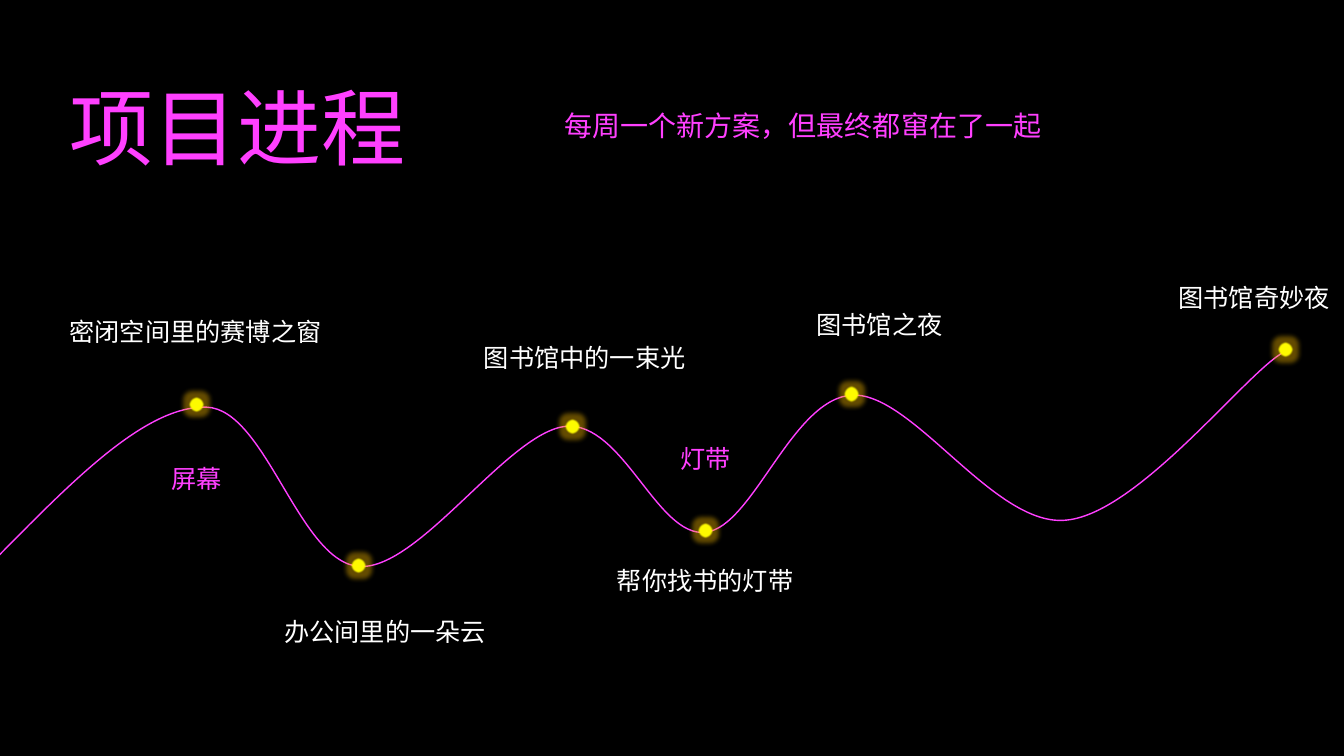
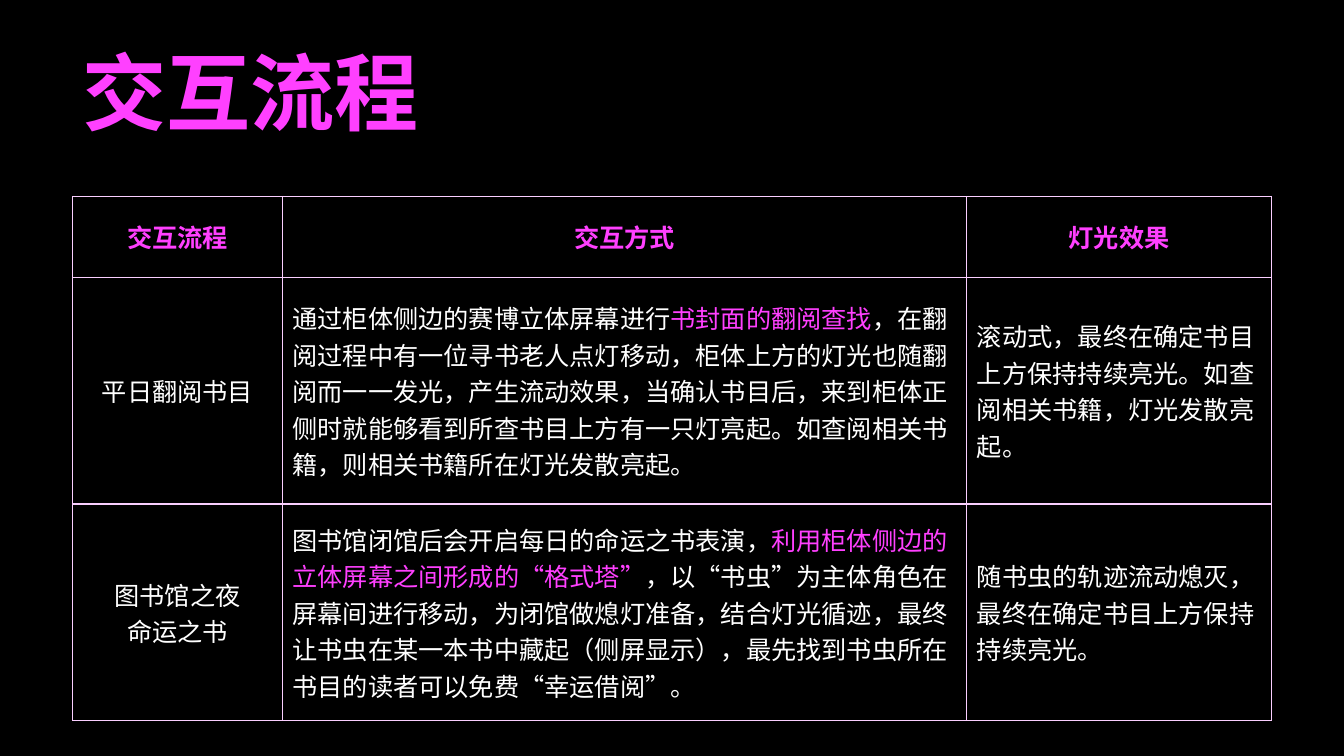
from itertools import product

from lxml.etree import SubElement
from pptx import Presentation
from pptx.dml.color import RGBColor
from pptx.enum.lang import MSO_LANGUAGE_ID as LANG
from pptx.enum.shapes import MSO_SHAPE as SHAPE
from pptx.enum.text import MSO_ANCHOR as ANCHOR, MSO_AUTO_SIZE as AUTOSIZE, PP_ALIGN as ALIGN
from pptx.oxml import parse_xml
from pptx.oxml.ns import nsdecls, qn
from pptx.util import Inches, Pt

COLORS = {
    "back": "000000",
    "accent": "FF40FF",
    "text": "FFFFFF",
    "dot": "FFFC00",
    "glow": "FFC000",
    "border": "FACFFF",
}
FONT = "Noto Sans CJK SC"
DOT = 0.16


def rgb(name):
    return RGBColor.from_string(COLORS[name])


class Deck:
    def __init__(self):
        self.prs = Presentation()
        self.prs.slide_width, self.prs.slide_height = Inches(13.33), Inches(7.5)
        fill = self.prs.slide_master.background.fill
        fill.solid()
        fill.fore_color.rgb = rgb("back")
        self.s = None

    def style(self, p, size, color, bold=False, align=ALIGN.LEFT):
        p.alignment = align
        p.font.size, p.font.bold, p.font.name = Pt(size), bold, FONT
        p.font.color.rgb = rgb(color)
        p.font.language_id = LANG.SIMPLIFIED_CHINESE
        SubElement(p._p.pPr.find(qn("a:defRPr")), qn("a:ea"), typeface=FONT)

    def frame(self, sp, text, size, color, bold=False, wrap=True):
        tf = sp.text_frame
        tf.text = text
        tf.word_wrap, tf.auto_size = wrap, AUTOSIZE.NONE
        tf.vertical_anchor = ANCHOR.MIDDLE
        self.style(tf.paragraphs[0], size, color, bold)

    def slide(self, title, left, top, width, bold=False):
        self.s = self.prs.slides.add_slide(self.prs.slide_layouts[5])
        sp = self.s.shapes.title
        sp.left, sp.top = Inches(left), Inches(top)
        sp.width, sp.height = Inches(width), Inches(1.11)
        self.frame(sp, title, 60, "accent", bold)

    def text(self, text, left, top, width, height, size, color="text", wrap=True):
        box = [Inches(v) for v in (left, top, width, height)]
        self.frame(self.s.shapes.add_textbox(*box), text, size, color, wrap=wrap)

    def label(self, text, left, top, color="text"):
        self.text(text, left, top, 0.25 * len(text) + 0.22, 0.4, 18, color, wrap=False)

    def curve(self, start, segments):
        builder = self.s.shapes.build_freeform(*map(Inches, start), scale=1.0)
        builder.add_line_segments(
            [tuple(map(Inches, segment[-1])) for segment in segments], close=False)
        sp = builder.convert_to_shape()
        sp.shadow.inherit = False
        sp.fill.background()
        sp.line.color.rgb, sp.line.width = rgb("accent"), Pt(1)
        for line, segment in zip(list(sp._element.iter(qn("a:lnTo"))), segments):
            points = "".join(
                f'<a:pt x="{Inches(x) - sp.left}" y="{Inches(y) - sp.top}"/>' for x, y in segment)
            line.getparent().replace(line, parse_xml(
                f'<a:cubicBezTo {nsdecls("a")}>{points}</a:cubicBezTo>'))

    def dot(self, left, top):
        sp = self.s.shapes.add_shape(
            SHAPE.OVAL, Inches(left), Inches(top), Inches(DOT), Inches(DOT))
        sp.shadow.inherit = False
        sp.fill.solid()
        sp.fill.fore_color.rgb = rgb("dot")
        sp.line.fill.background()
        effects = sp._element.spPr.find(qn("a:effectLst"))
        effects.append(parse_xml(
            f'<a:glow {nsdecls("a")} rad="{Pt(7)}"><a:srgbClr val="{COLORS["glow"]}">'
            '<a:alpha val="40000"/></a:srgbClr></a:glow>'))
        SubElement(effects, qn("a:softEdge"), rad=str(Pt(1)))

    def cell(self, cell, paragraphs, color, bold, align):
        cell.fill.background()
        cell.vertical_anchor = ANCHOR.MIDDLE
        tf = cell.text_frame
        for i, runs in enumerate(paragraphs):
            p = tf.add_paragraph() if i else tf.paragraphs[0]
            for j, text in enumerate(runs):
                r = p.add_run()
                r.text = text
                if j % 2:
                    r.font.color.rgb = rgb("accent")
            self.style(p, 18, color, bold, align)
        tcPr = cell._tc.get_or_add_tcPr()
        for i, side in enumerate("LRTB"):
            tcPr.insert(i, parse_xml(
                f'<a:ln{side} {nsdecls("a")} w="{Pt(1)}"><a:solidFill>'
                f'<a:srgbClr val="{COLORS["border"]}"/></a:solidFill></a:ln{side}>'))

    def table(self, left, top, widths, heights, rows):
        table = self.s.shapes.add_table(
            len(heights), len(widths), Inches(left), Inches(top),
            Inches(sum(widths)), Inches(sum(heights))).table
        table.horz_banding = False
        for column, width in zip(table.columns, widths):
            column.width = Inches(width)
        for row, height in zip(table.rows, heights):
            row.height = Inches(height)
        for i, j in product(range(len(heights)), range(len(widths))):
            header = i == 0
            self.cell(table.cell(i, j), rows[i][j], "accent" if header else "text", header,
                      ALIGN.CENTER if header or j == 0 else ALIGN.LEFT)


def progress(deck):
    deck.slide("项目进程", 0.59, 0.69, 6.49)
    deck.text("每周一个新方案，但最终都窜在了一起", 5.5, 1.02, 7.56, 0.44, 20, "accent")
    deck.curve((-0.02, 5.52), [
        ((0.72, 4.77), (1.45, 4.02), (2.05, 4.04)),
        ((2.64, 4.06), (2.97, 5.59), (3.57, 5.62)),
        ((4.16, 5.65), (5.04, 4.29), (5.61, 4.23)),
        ((6.18, 4.18), (6.52, 5.34), (7, 5.28)),
        ((7.47, 5.23), (7.86, 3.94), (8.46, 3.92)),
        ((9.06, 3.9), (9.87, 5.24), (10.58, 5.16)),
        ((11.3, 5.09), (12.38, 3.67), (12.74, 3.49)),
    ])
    milestones = [
        ("密闭空间里的赛博之窗", (0.59, 3.09), (1.87, 3.93)),
        ("办公间里的一朵云", (2.72, 6.06), (3.48, 5.53)),
        ("图书馆中的一束光", (4.7, 3.35), (5.6, 4.15)),
        ("帮你找书的灯带", (6.02, 5.56), (6.92, 5.18)),
        ("图书馆之夜", (8, 3.02), (8.37, 3.83)),
        ("图书馆奇妙夜", (11.59, 2.75), (12.67, 3.39)),
    ]
    for name, label_at, dot_at in milestones:
        deck.label(name, *label_at)
        deck.dot(*dot_at)
    deck.label("屏幕", 1.6, 4.55, "accent")
    deck.label("灯带", 6.65, 4.35, "accent")


def interaction(deck):
    deck.slide("交互流程", 0.72, 0.35, 7.48, bold=True)
    deck.table(0.72, 1.95, [2.08, 6.79, 3.02], [0.8, 2.25, 2.15], [
        [[["交互流程"]], [["交互方式"]], [["灯光效果"]]],
        [
            [["平日翻阅书目"]],
            [["通过柜体侧边的赛博立体屏幕进行", "书封面的翻阅查找",
              "，在翻阅过程中有一位寻书老人点灯移动，柜体上方的灯光也随翻阅而一一发光，"
              "产生流动效果，当确认书目后，来到柜体正侧时就能够看到所查书目上方有一只灯亮起。"
              "如查阅相关书籍，则相关书籍所在灯光发散亮起。"]],
            [["滚动式，最终在确定书目上方保持持续亮光。如查阅相关书籍，灯光发散亮起。"]],
        ],
        [
            [["图书馆之夜"], ["命运之书"]],
            [["图书馆闭馆后会开启每日的命运之书表演，", "利用柜体侧边的立体屏幕之间形成的“格式塔”",
              "，以“书虫”为主体角色在屏幕间进行移动，为闭馆做熄灯准备，结合灯光循迹，"
              "最终让书虫在某一本书中藏起（侧屏显示），最先找到书虫所在书目的读者可以免费“幸运借阅”。"]],
            [["随书虫的轨迹流动熄灭，最终在确定书目上方保持持续亮光。"]],
        ],
    ])


def main():
    deck = Deck()
    progress(deck)
    interaction(deck)
    deck.prs.save("out.pptx")


if __name__ == "__main__":
    main()
